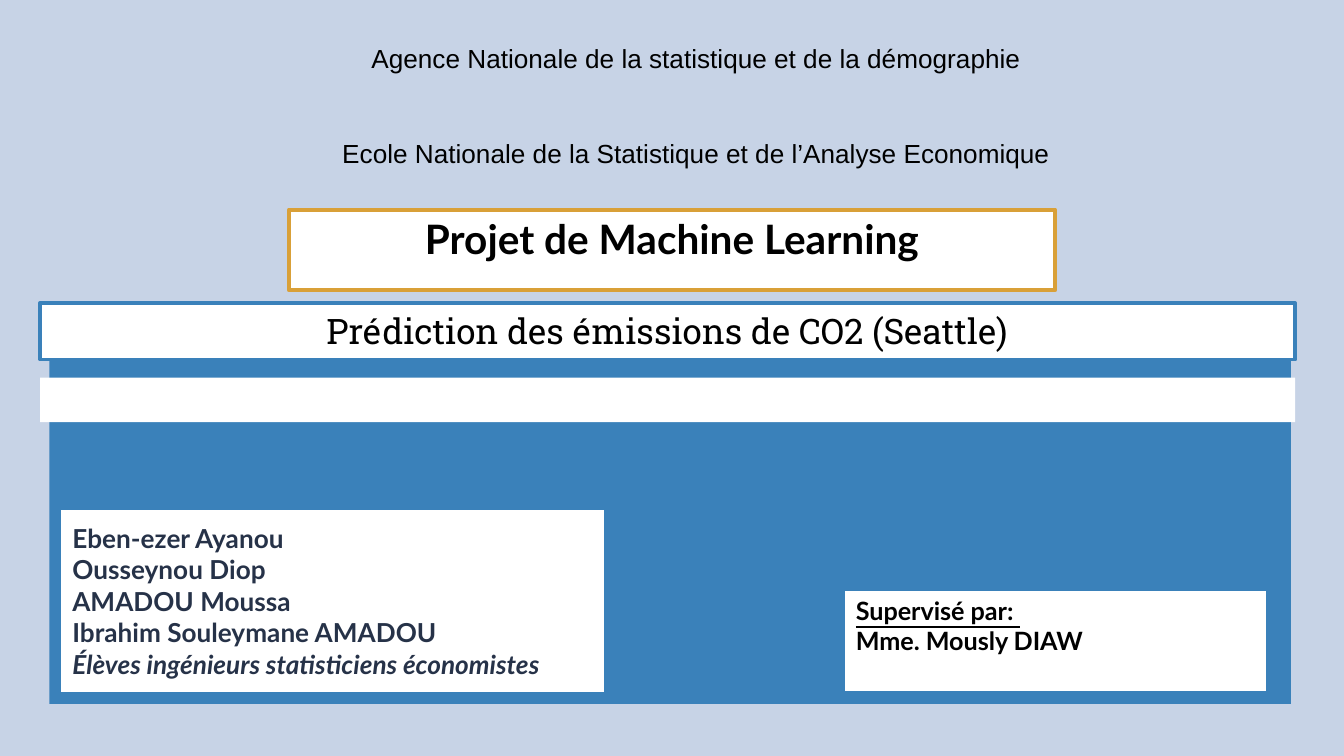
from pptx import Presentation
from pptx.dml.color import RGBColor
from pptx.enum import shapes, text
from pptx.util import Pt

BACKGROUND = RGBColor(0xC7, 0xD3, 0xE6)
BLUE = RGBColor(0x3A, 0x81, 0xBA)
GOLD = RGBColor(0xD9, 0xA0, 0x38)
NAVY = RGBColor(0x26, 0x32, 0x48)
WHITE = RGBColor(0xFF, 0xFF, 0xFF)
BLACK = RGBColor(0, 0, 0)

CENTER = text.PP_ALIGN.CENTER
LEFT = text.PP_ALIGN.LEFT
TOP = text.MSO_ANCHOR.TOP
MIDDLE = text.MSO_ANCHOR.MIDDLE


def paint(shape, fill, line=None, width=2):
    shape.fill.solid()
    shape.fill.fore_color.rgb = fill
    if line is None:
        shape.line.fill.background()
    else:
        shape.line.color.rgb = line
        shape.line.width = Pt(width)


def add_panel(slide, left, top, width, height, fill=WHITE, line=None):
    panel = slide.shapes.add_shape(shapes.MSO_SHAPE.RECTANGLE,
                                   Pt(left), Pt(top), Pt(width), Pt(height))
    panel.shadow.inherit = False
    paint(panel, fill, line)
    return panel


def write(shape, lines, font, size, color=BLACK, bold=False,
          align=LEFT, anchor=TOP, inset=3.6):
    frame = shape.text_frame
    frame.word_wrap = True
    frame.auto_size = text.MSO_AUTO_SIZE.NONE
    frame.vertical_anchor = anchor
    frame.margin_left = frame.margin_right = Pt(7.2)
    frame.margin_top = frame.margin_bottom = Pt(inset)
    frame.text = "\n".join(lines)
    for paragraph in frame.paragraphs:
        paragraph.alignment = align
        paragraph.font.name = font
        paragraph.font.size = Pt(size)
        paragraph.font.bold = bold
        paragraph.font.color.rgb = color
    return frame.paragraphs


def add_title(slide):
    title = slide.shapes.title
    title.left, title.top, title.width, title.height = (
        Pt(154.8), Pt(112.3), Pt(410.4), Pt(43.2))
    paint(title, WHITE, GOLD, 2.25)
    heading, = write(title, ["Projet de Machine Learning"], "Lato", 21.7,
                     bold=True, align=CENTER, inset=7.2)
    heading.line_spacing = 0.8


def add_institutions(slide):
    box = slide.shapes.add_textbox(Pt(139.7), Pt(19.4), Pt(466.6), Pt(92.2))
    agency, school = write(
        box,
        ["Agence Nationale de la statistique et de la démographie",
         "Ecole Nationale de la Statistique et de l’Analyse Economique"],
        "Arial", 14, align=CENTER)
    school.space_before = Pt(34)


def main():
    deck = Presentation()
    deck.slide_width, deck.slide_height = Pt(720), Pt(405)
    slide = deck.slides.add_slide(deck.slide_layouts[5])
    slide.background.fill.solid()
    slide.background.fill.fore_color.rgb = BACKGROUND

    add_panel(slide, 26.4, 182, 665.2, 195.2, BLUE)
    add_title(slide)
    add_institutions(slide)

    subject = add_panel(slide, 21.5, 162.4, 672.4, 30.2, line=BLUE)
    write(subject, ["Prédiction des émissions de CO2 (Seattle)"],
          "Roboto Slab", 18.8, align=CENTER)
    add_panel(slide, 21.5, 202.4, 672.4, 23.8)

    supervisor = add_panel(slide, 451.5, 315.4, 227.5, 56, line=BLUE)
    role, person = write(supervisor, ["Supervisé par: ", "Mme. Mously DIAW"],
                         "Lato", 13.5, bold=True)
    role.font.underline = True

    authors = add_panel(slide, 31.7, 272.2, 293, 99.4, line=BLUE)
    *names, status = write(
        authors,
        ["Eben-ezer Ayanou", "Ousseynou Diop", "AMADOU Moussa",
         "Ibrahim Souleymane AMADOU",
         "Élèves ingénieurs statisticiens économistes"],
        "Lato", 14, NAVY, bold=True, anchor=MIDDLE, inset=7.2)
    status.font.italic = True

    deck.save("out.pptx")


if __name__ == "__main__":
    main()
